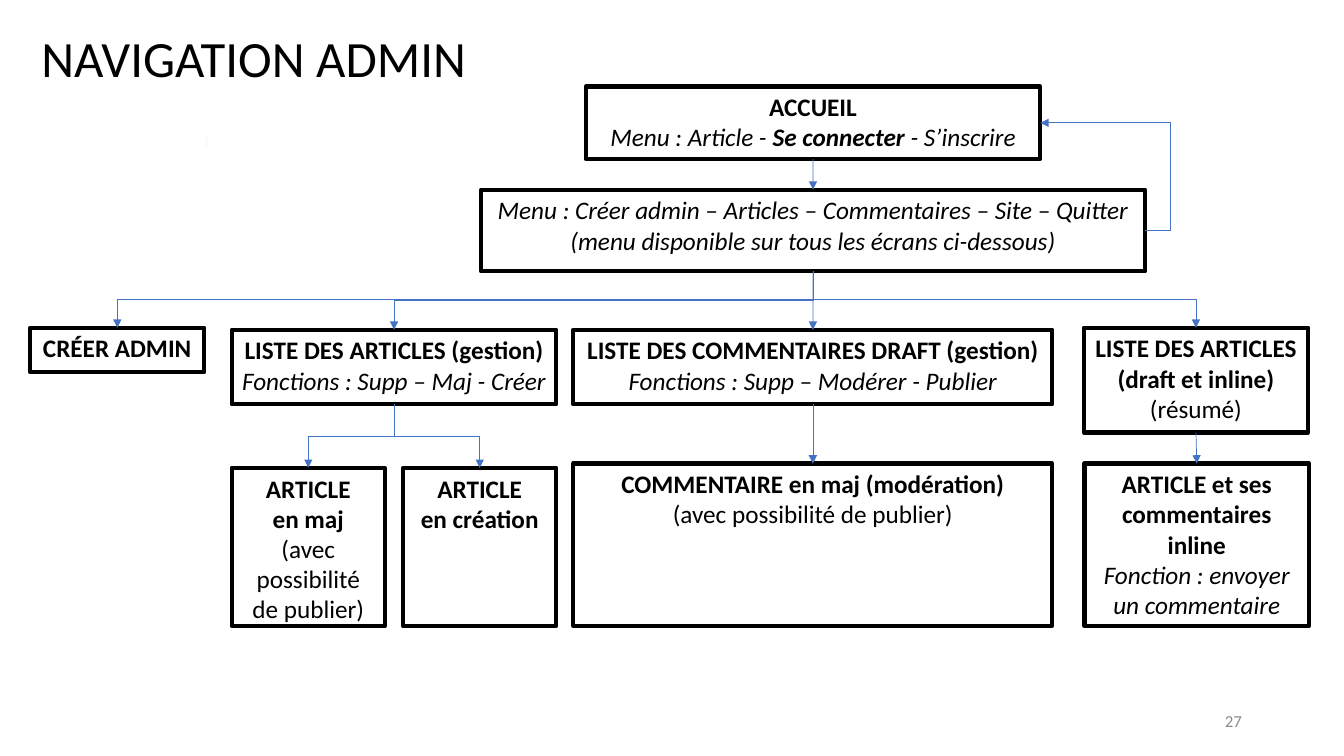
from lxml.etree import SubElement
from pptx import Presentation
from pptx.dml.color import RGBColor
from pptx.enum.shapes import MSO_CONNECTOR as Link, MSO_SHAPE as Shape
from pptx.enum.text import MSO_ANCHOR as Anchor, PP_ALIGN as Align
from pptx.oxml.ns import qn
from pptx.util import Cm, Pt

BLACK, BLUE, GREY, PALE = "000000", "4472C4", "8C8C8C", "F8F9FA"
TOP, BOTTOM, RIGHT = 0, 2, 3
QUARTER_TURN = 5400000

SCREENS = {
    "home": (14.76, 2.18, 11.46, 1.83, [
        [("ACCUEIL", "b")],
        [("Menu : Article - ", "i"), ("Se connecter ", "bi"), ("- S’inscrire", "i")]]),
    "menu": (12.12, 4.78, 16.74, 2.06, [
        [("Menu : Créer admin – Articles – Commentaires – Site – Quitter", "i")],
        [("(menu disponible sur tous les écrans ci-dessous)", "i")]]),
    "create_admin": (0.76, 8.26, 4.39, 1.12, [[("CRÉER ADMIN", "b")]]),
    "articles": (5.84, 8.31, 8.18, 1.88, [
        [("LISTE DES ARTICLES (gestion)", "b")],
        [("Fonctions : Supp – Maj - Créer", "i")]]),
    "comments": (14.45, 8.31, 12.07, 1.88, [
        [("LISTE DES COMMENTAIRES DRAFT (gestion)", "b")],
        [("Fonctions : Supp – Modérer - Publier", "i")]]),
    "site": (27.31, 8.26, 5.66, 2.64, [
        [("LISTE DES ARTICLES", "b")],
        [("(draft et inline) ", "b"), ("(résumé)", "")]]),
    "update_article": (5.84, 11.79, 3.86, 3.99, [
        [("ARTICLE", "b")], [("en maj", "b")],
        [("(avec possibilité de publier)", "")]]),
    "new_article": (10.16, 11.79, 3.86, 3.99, [
        [("ARTICLE", "b")], [("en création", "b")]]),
    "update_comment": (14.45, 11.68, 12.07, 4.09, [
        [("COMMENTAIRE en maj (modération)", "b")],
        [("(avec possibilité de publier)", "")]]),
    "site_article": (27.33, 11.68, 5.66, 4.09, [
        [("ARTICLE et ses commentaires inline", "b")],
        [("Fonction : envoyer un commentaire", "i")]]),
}
STRAIGHT_STEPS = [("home", "menu"), ("menu", "comments"),
                  ("comments", "update_comment"), ("site", "site_article")]
BRANCHES = [("menu", "create_admin"), ("menu", "site"), ("menu", "articles"),
            ("articles", "update_article"), ("articles", "new_article")]


def color(value):
    return RGBColor.from_string(value)


def set_all(target, values):
    for key, value in values.items():
        setattr(target, key, value)


def write(frame, paragraphs, size=18, ink=BLACK, align=Align.CENTER, spacing=None):
    for index, runs in enumerate(paragraphs):
        paragraph = frame.add_paragraph() if index else frame.paragraphs[0]
        set_all(paragraph, {"alignment": align, "line_spacing": spacing})
        for text, style in runs:
            run = paragraph.add_run()
            run.text = text
            set_all(run.font, {"name": "Calibri", "size": Pt(size),
                               "bold": "b" in style, "italic": "i" in style})
            run.font.color.rgb = color(ink)


def add_label(slide, bounds, text, **text_format):
    frame = slide.shapes.add_textbox(*map(Cm, bounds)).text_frame
    set_all(frame, {"word_wrap": True, "vertical_anchor": Anchor.MIDDLE})
    write(frame, [[(text, "")]], **text_format)


def add_screen(slide, left, top, width, height, paragraphs):
    screen = slide.shapes.add_shape(Shape.RECTANGLE, *map(Cm, (left, top, width, height)))
    screen.shadow.inherit = False
    screen.fill.background()
    screen.line.color.rgb = color(BLACK)
    screen.line.width = Pt(3)
    set_all(screen.text_frame, {"word_wrap": True, "vertical_anchor": Anchor.TOP})
    write(screen.text_frame, paragraphs)
    return screen


def add_mark(slide, bounds):
    mark = slide.shapes.add_shape(Shape.RECTANGLE, *map(Cm, bounds))
    mark.shadow.inherit = False
    mark.fill.solid()
    mark.fill.fore_color.rgb = color(PALE)
    mark.line.fill.background()


def add_arrow(slide, kind, source, source_side, target, target_side, arrow_end="tailEnd"):
    arrow = slide.shapes.add_connector(kind, 0, 0, 0, 0)
    arrow.begin_connect(source, source_side)
    arrow.end_connect(target, target_side)
    arrow.line.color.rgb = color(BLUE)
    arrow.line.width = Pt(0.5)
    SubElement(arrow.line._get_or_add_ln(), qn(f"a:{arrow_end}"), type="triangle")
    SubElement(arrow._element.spPr, qn("a:effectLst"))
    return arrow


def add_branch(slide, parent, child):
    branch = add_arrow(slide, Link.ELBOW, parent, BOTTOM, child, TOP)
    across = branch.end_x - branch.begin_x
    drop = branch.end_y - branch.begin_y
    center_x = (branch.begin_x + branch.end_x) // 2
    center_y = (branch.begin_y + branch.end_y) // 2
    set_all(branch, {"left": center_x - drop // 2, "top": center_y - abs(across) // 2,
                     "width": drop, "height": abs(across)})
    xfrm = branch._element.spPr.find(qn("a:xfrm"))
    to_right = across > 0
    turns = 3 if to_right else 1
    for key, value in {"rot": turns * QUARTER_TURN, "flipH": int(to_right), "flipV": 0}.items():
        xfrm.set(key, str(value))


def add_return(slide, home, menu):
    loop = add_arrow(slide, Link.ELBOW, home, RIGHT, menu, RIGHT, "headEnd")
    geometry = loop._element.spPr.find(qn("a:prstGeom"))
    guides = geometry.find(qn("a:avLst"))
    if guides is None:
        guides = SubElement(geometry, qn("a:avLst"))
    SubElement(guides, qn("a:gd"), name="adj1", fmla="val 124000")


def main():
    deck = Presentation()
    set_all(deck, {"slide_width": Cm(33.87), "slide_height": Cm(19.05)})
    slide = deck.slides.add_slide(deck.slide_layouts[6])
    add_mark(slide, (5.18, 3.45, 0.05, 0.28))
    add_label(slide, (0.5, 0.28, 11.8, 2.59), "NAVIGATION ADMIN", size=36.3, spacing=0.8)
    screens = {key: add_screen(slide, *details) for key, details in SCREENS.items()}
    for parent, child in BRANCHES:
        add_branch(slide, screens[parent], screens[child])
    for parent, child in STRAIGHT_STEPS:
        add_arrow(slide, Link.STRAIGHT, screens[parent], BOTTOM, screens[child], TOP)
    add_return(slide, screens["home"], screens["menu"])
    add_label(slide, (23.93, 17.65, 7.62, 1.02), "27", size=12, ink=GREY, align=Align.RIGHT)
    deck.save("out.pptx")


if __name__ == "__main__":
    main()
